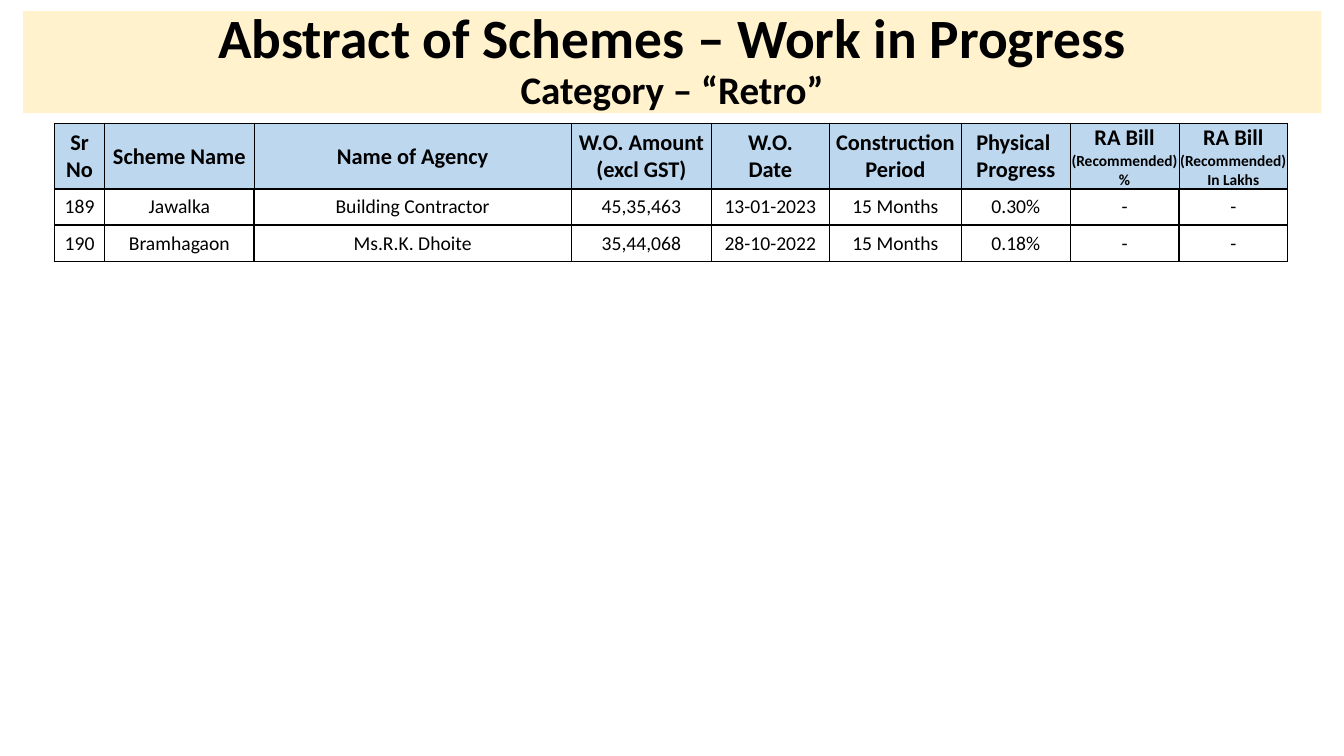
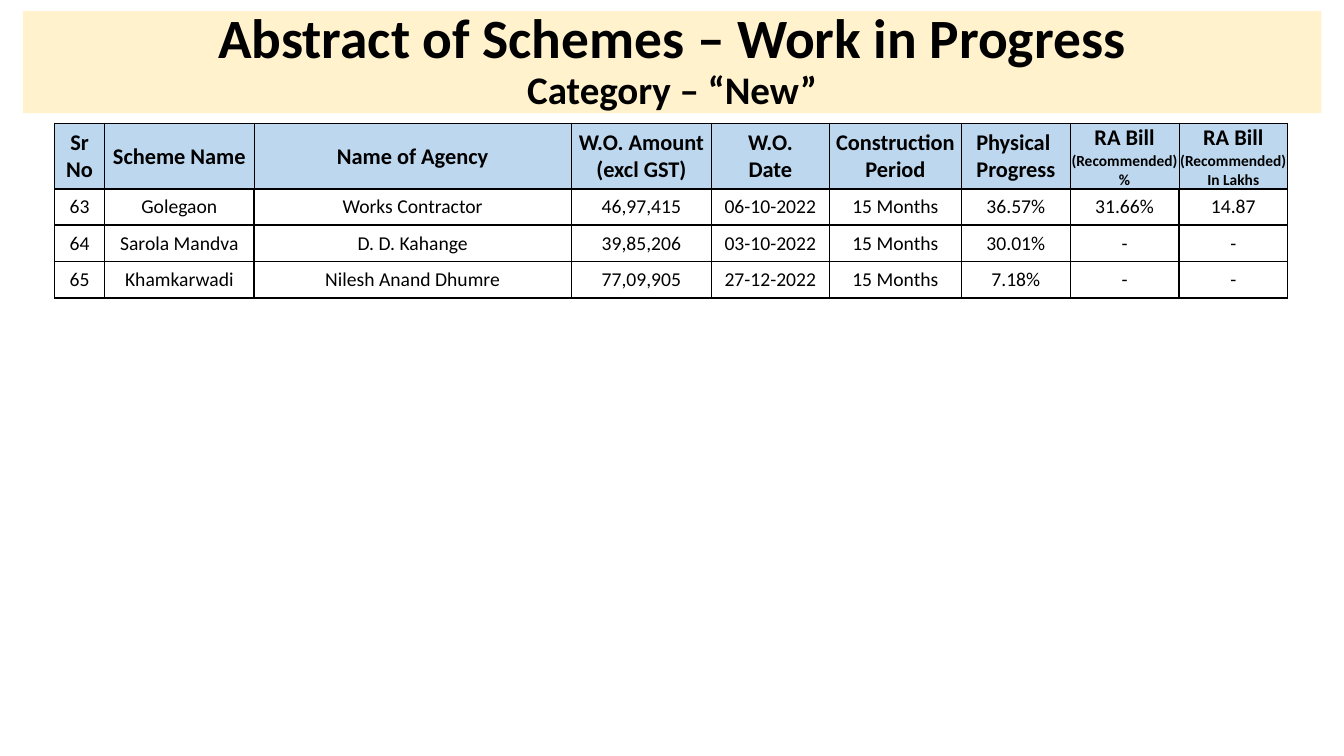
from copy import deepcopy

from lxml.etree import SubElement
from pptx import Presentation
from pptx.dml.color import RGBColor
from pptx.enum.text import MSO_ANCHOR, MSO_AUTO_SIZE, PP_ALIGN
from pptx.oxml import parse_xml
from pptx.oxml.ns import nsdecls, qn
from pptx.util import Cm, Pt

INK, CREAM, BLUE = "000000", "FFF2CC", "BDD7EE"
BAND = (0.58, 0.28, 32.72, 2.57)
GRID = (1.37, 3.1)
COLS = (1.27, 3.76, 8, 3.53, 2.97, 3.33, 2.74, 2.74, 2.74)
HEAD_ROW, BODY_ROW = 1.65, 0.92
HEAD_LINES = {"L": 0.5, "R": 0.5, "T": 0.5, "B": 1}
BODY_LINES = dict.fromkeys("LRTB", 1)
INSETS = {"margin_left": Cm(0.02), "margin_right": Cm(0.02),
          "margin_top": Cm(0.02), "margin_bottom": 0,
          "vertical_anchor": MSO_ANCHOR.MIDDLE}
NOTE = 11

HEADS = [
    [["Sr No"]], [["Scheme Name"]], [["Name of Agency"]],
    [["W.O. Amount", "(excl GST)"]], [["W.O.", "Date"]],
    [["Construction", "Period"]], [["Physical "], ["Progress"]],
    [["RA Bill"], [("(Recommended)", NOTE)], [("%", NOTE)]],
    [["RA Bill"], [("(Recommended)", NOTE)], [("In Lakhs", NOTE)]],
]
SLIDES = {
    "Retro": [
        ("189", "Jawalka", "Building Contractor", "45,35,463",
         "13-01-2023", "15 Months", "0.30%", "-", "-"),
        ("190", "Bramhagaon", "Ms.R.K. Dhoite", "35,44,068",
         "28-10-2022", "15 Months", "0.18%", "-", "-"),
    ],
    "New": [
        ("63", "Golegaon", "Works Contractor", "46,97,415",
         "06-10-2022", "15 Months", "36.57%", "31.66%", "14.87"),
        ("64", "Sarola Mandva", "D. D. Kahange", "39,85,206",
         "03-10-2022", "15 Months", "30.01%", "-", "-"),
        ("65", "Khamkarwadi", "Nilesh Anand Dhumre", "77,09,905",
         "27-12-2022", "15 Months", "7.18%", "-", "-"),
    ],
}


def hue(code):
    """Turn a hex string into a colour."""
    return RGBColor.from_string(code)


def style(item, looks):
    """Set each named value on an item."""
    for name, value in looks.items():
        setattr(item, name, value)


def write(frame, paras, size, bold, space=None):
    """Write paragraphs of lines, each line a text or a (text, size) pair."""
    for at, lines in enumerate(paras):
        para = frame.add_paragraph() if at else frame.paragraphs[0]
        style(para, {"alignment": PP_ALIGN.CENTER, "line_spacing": space})
        for row, line in enumerate(lines):
            text, points = (line, size) if isinstance(line, str) else line
            if row:
                para.add_line_break()
                mark = para._p.findall(qn("a:br"))[-1]
                mark.append(deepcopy(run._r.find(qn("a:rPr"))))
            run = para.add_run()
            run.text = text
            style(run.font, {"name": "Calibri", "size": Pt(points), "bold": bold})
            run.font.color.rgb = hue(INK)


def edge(cell, lines):
    """Draw the borders of a cell, widths given by side in points."""
    props = cell._tc.get_or_add_tcPr()
    for at, (side, width) in enumerate(lines.items()):
        line = parse_xml(f'<a:ln{side} {nsdecls("a")} w="{Pt(width)}"/>')
        fill = SubElement(line, qn("a:solidFill"))
        SubElement(fill, qn("a:srgbClr"), val=INK)
        props.insert(at, line)


def banner(slide, box, kind):
    """Place the title band in a box."""
    title = slide.shapes.title
    style(title, dict(zip(("left", "top", "width", "height"), map(Cm, box))))
    title.fill.solid()
    title.fill.fore_color.rgb = hue(CREAM)
    frame = title.text_frame
    style(frame, {"word_wrap": True, "auto_size": MSO_AUTO_SIZE.NONE,
                  "vertical_anchor": MSO_ANCHOR.MIDDLE})
    lines = [("Abstract of Schemes – Work in Progress", 39.6),
             (f"Category – “{kind}”", 27.9)]
    write(frame, [lines], 39.6, True, 0.9)


def table(slide, spot, rows, high, size, bold, lines, tint=None):
    """Place a table of cells at a spot."""
    left, top = spot
    grid = slide.shapes.add_table(
        len(rows), len(COLS), Cm(left), Cm(top),
        Cm(sum(COLS)), Cm(high * len(rows))).table
    style(grid, {"first_row": False, "horz_banding": False})
    for col, width in zip(grid.columns, COLS):
        col.width = Cm(width)
    for row, texts in zip(grid.rows, rows):
        row.height = Cm(high)
        for cell, paras in zip(row.cells, texts):
            style(cell, INSETS)
            if tint:
                cell.fill.solid()
                cell.fill.fore_color.rgb = hue(tint)
            else:
                cell.fill.background()
            edge(cell, lines)
            write(cell.text_frame, paras, size, bold)


def page(deck, kind, works):
    """Add one slide for a category of works."""
    slide = deck.slides.add_slide(deck.slide_layouts[5])
    banner(slide, BAND, kind)
    left, top = GRID
    table(slide, GRID, [HEADS], HEAD_ROW, 16, True, HEAD_LINES, BLUE)
    rows = [[[[text]] for text in work] for work in works]
    table(slide, (left, top + HEAD_ROW), rows, BODY_ROW, 14, False, BODY_LINES)


def main():
    """Build and save the deck."""
    deck = Presentation()
    style(deck, {"slide_width": Cm(33.87), "slide_height": Cm(19.05)})
    for kind, works in SLIDES.items():
        page(deck, kind, works)
    deck.save("out.pptx")


if __name__ == "__main__":
    main()
